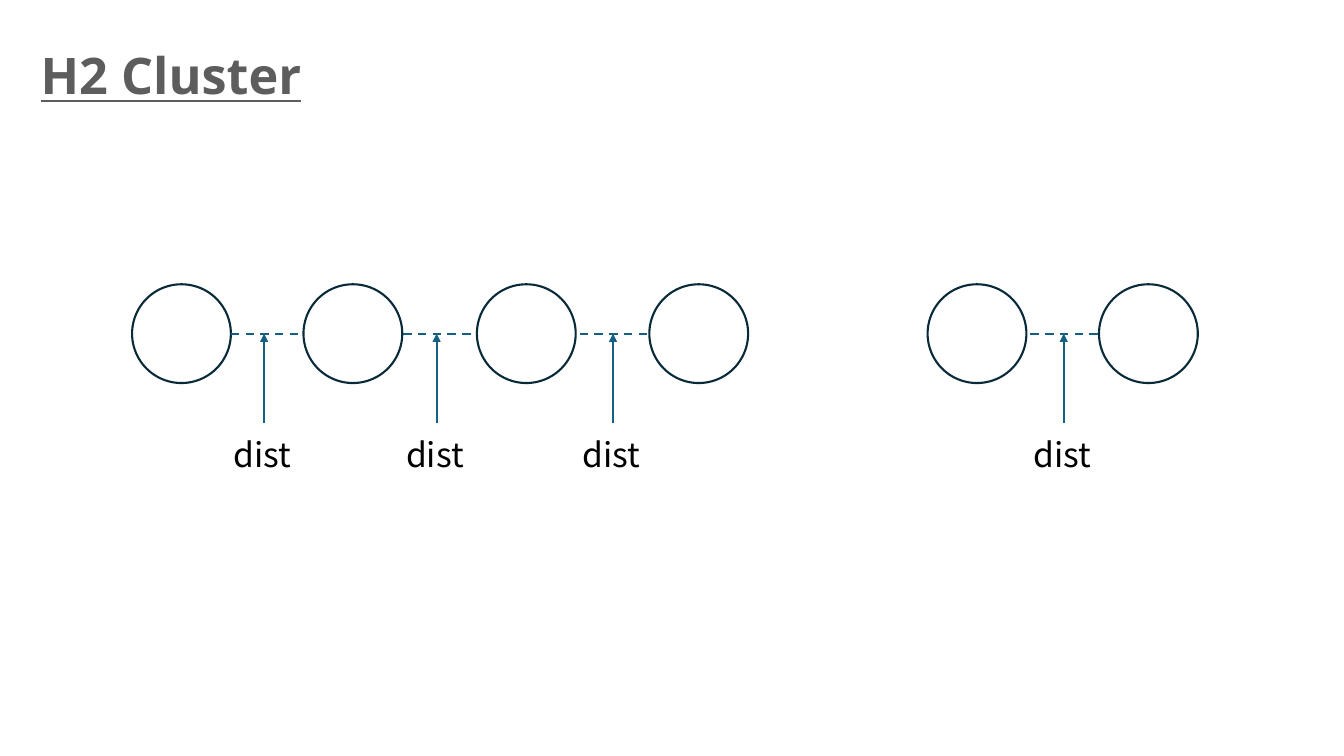
from lxml import etree
from pptx import Presentation
from pptx import util as u
from pptx.dml.color import RGBColor
from pptx.enum import dml, shapes, text
from pptx.oxml import ns

PX = 9144


def px(n):
    return u.Emu(n * PX)


def rgb(value):
    return RGBColor.from_string(value)


class Diagram:
    outline = "092A39"
    link = "156082"
    weight = u.Pt(1.5)

    def __init__(self, slide):
        self.s = slide

    def circle(self, x, y, size):
        sp = self.s.shapes.add_shape(
            shapes.MSO_SHAPE.OVAL, px(x), px(y), px(size), px(size))
        sp.shadow.inherit = False
        sp.fill.background()
        sp.line.color.rgb = rgb(self.outline)
        sp.line.width = self.weight

    def line(self, x1, y1, x2, y2, dashed=False, arrow=False):
        cx = self.s.shapes.add_connector(
            shapes.MSO_CONNECTOR.STRAIGHT, px(x1), px(y1), px(x2), px(y2))
        cx.line.color.rgb = rgb(self.link)
        cx.line.width = self.weight
        if dashed:
            cx.line.dash_style = dml.MSO_LINE.DASH
        if arrow:
            ln = cx.line._get_or_add_ln()
            etree.SubElement(ln, ns.qn("a:tailEnd"), type="triangle")
        etree.SubElement(cx._element.spPr, ns.qn("a:effectLst"))

    def text(self, words, x, y, w, h, font, size, color, spacing,
             anchor=text.MSO_ANCHOR.TOP, fit=text.MSO_AUTO_SIZE.NONE,
             bold=False, underline=False):
        tf = self.s.shapes.add_textbox(px(x), px(y), px(w), px(h)).text_frame
        tf.word_wrap = True
        tf.auto_size = fit
        tf.vertical_anchor = anchor
        p = tf.paragraphs[0]
        p.text = words
        p.alignment = text.PP_ALIGN.CENTER
        p.line_spacing = spacing
        p.font.name = font
        p.font.size = u.Pt(size)
        p.font.color.rgb = rgb(color)
        p.font.bold = bold
        p.font.underline = underline

    def distance(self, x, y):
        self.line(x, y, x + 72, y, dashed=True)
        self.line(x + 33, y + 89, x + 33, y, arrow=True)
        self.text("dist", x - 25, y + 83, 113, 57, "Noto Sans CJK KR", 24,
                  "000000", 1.3, fit=text.MSO_AUTO_SIZE.SHAPE_TO_FIT_TEXT)


def main():
    prs = Presentation()
    prs.slide_width, prs.slide_height = px(1333), px(750)
    d = Diagram(prs.slides.add_slide(prs.slide_layouts[6]))
    d.text("H2 Cluster", 24, 58, 291, 51, "Noto Sans", 36, "5D5D5D", 1.2,
           anchor=text.MSO_ANCHOR.BOTTOM, bold=True, underline=True)
    for x in (131, 301, 473, 644, 920, 1090):
        d.circle(x, 282, 98)
    for x in (229, 400, 575, 1022):
        d.distance(x, 331)
    prs.save("out.pptx")


if __name__ == "__main__":
    main()
